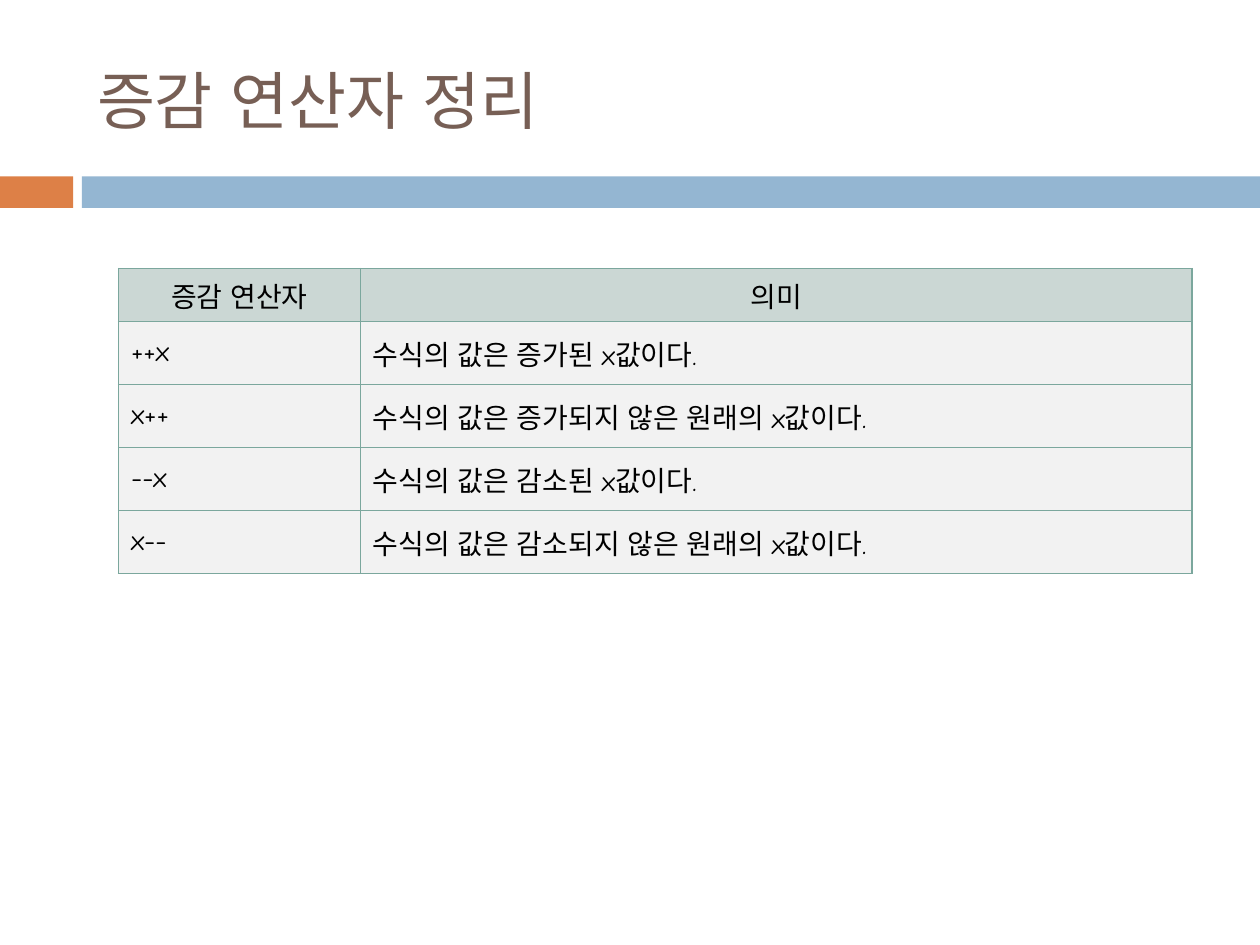
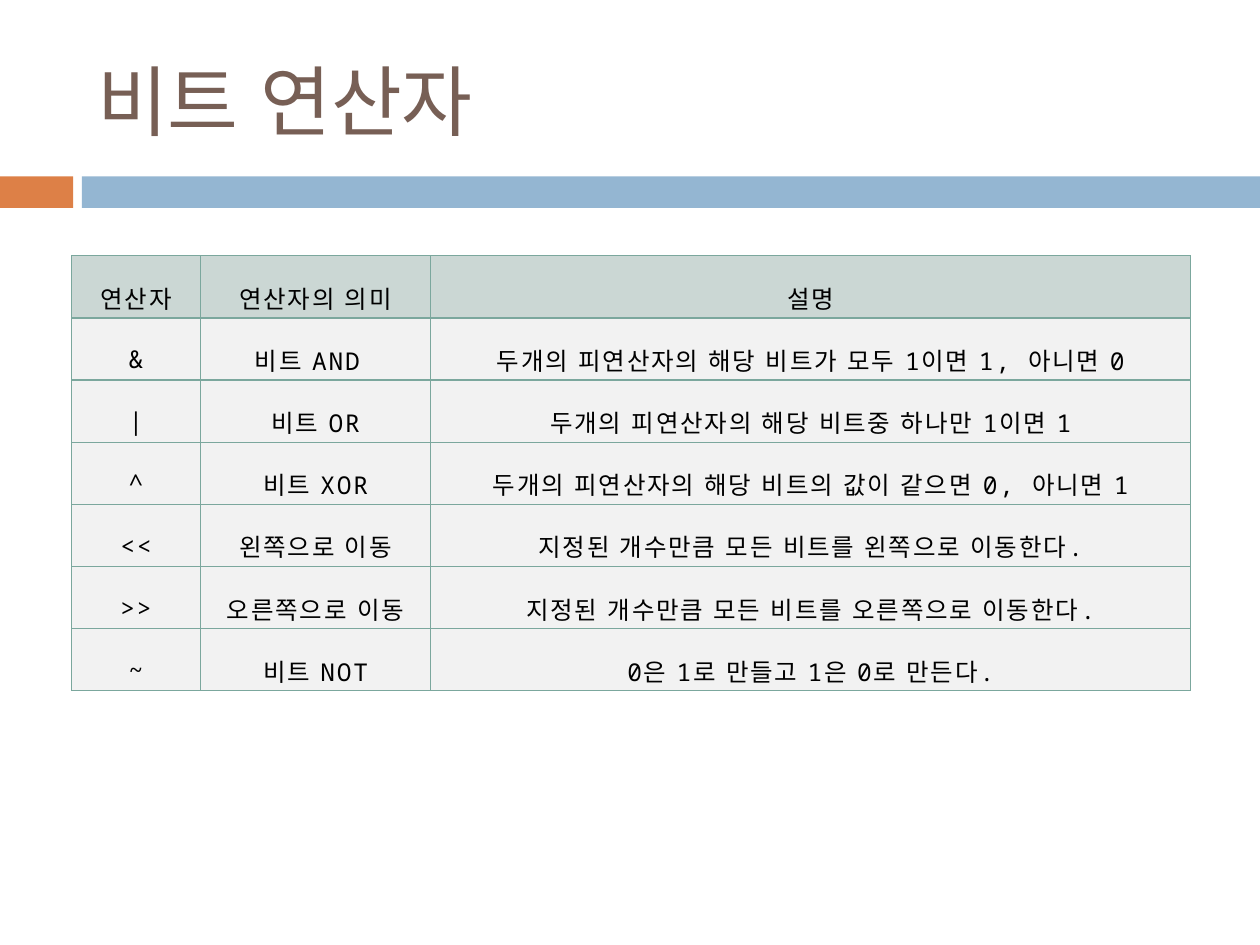
from dataclasses import dataclass

import pptx
import pptx.dml.color
import pptx.enum.lang
import pptx.enum.shapes
import pptx.enum.text
import pptx.oxml
import pptx.oxml.ns
import pptx.util
from pptx.util import Inches

ALIGN = pptx.enum.text.PP_ALIGN
MIDDLE = pptx.enum.text.MSO_ANCHOR.MIDDLE
COLOURS = {
    "accent": "DD8047",
    "band": "94B6D2",
    "title": "775F55",
    "text": "000000",
    "header": "CBD7D4",
    "body": "F2F2F2",
    "border": "7BA79D",
}


@dataclass(frozen=True)
class Band:
    left: float
    width: float
    colour: str


@dataclass(frozen=True)
class OperatorTable:
    left: float
    top: float
    columns: tuple[float, ...]
    heights: tuple[float, ...]
    rows: tuple[tuple[str, ...], ...]
    font: str
    size: int
    body_align: ALIGN
    margins: tuple[float, float]
    line_spacing: float = 1.0
    letter_spacing: float = 0


@dataclass(frozen=True)
class OperatorPage:
    title: str
    title_size: int
    table: OperatorTable


BANDS = (Band(0, 0.58, "accent"), Band(0.65, 9.35, "band"))

PAGES = (
    OperatorPage("증감 연산자 정리", 36, OperatorTable(
        left=0.94, top=2.13, columns=(1.92, 6.6), heights=(0.42,) + (0.5,) * 4,
        rows=(
            ("증감 연산자", "의미"),
            ("++x", "수식의 값은 증가된 x값이다. "),
            ("x++", "수식의 값은 증가되지 않은 원래의 x값이다. "),
            ("--x", "수식의 값은 감소된 x값이다. "),
            ("x--", "수식의 값은 감소되지 않은 원래의 x값이다. "),
        ),
        font="Comic Neue", size=16, body_align=ALIGN.JUSTIFY, margins=(0.1, 0.05),
    )),
    OperatorPage("비트 연산자", 44, OperatorTable(
        left=0.57, top=2.03, columns=(1.02, 1.83, 6.03), heights=(0.49,) * 7,
        rows=(
            ("연산자", "연산자의 의미", "설명"),
            ("&", "비트 AND ", "두개의 피연산자의 해당 비트가 모두 1이면 1, 아니면 0"),
            ("|", "비트 OR", "두개의 피연산자의 해당 비트중 하나만 1이면 1"),
            ("^", "비트 XOR", "두개의 피연산자의 해당 비트의 값이 같으면 0, 아니면 1"),
            ("<<", "왼쪽으로 이동", "지정된 개수만큼 모든 비트를 왼쪽으로 이동한다."),
            (">>", "오른쪽으로 이동", "지정된 개수만큼 모든 비트를 오른쪽으로 이동한다."),
            ("~", "비트 NOT", "0은 1로 만들고 1은 0로 만든다."),
        ),
        font="Noto Sans Mono", size=14, body_align=ALIGN.CENTER, margins=(0.02, 0.02),
        line_spacing=1.6, letter_spacing=1,
    )),
)


def rgb(name: str) -> pptx.dml.color.RGBColor:
    return pptx.dml.color.RGBColor.from_string(COLOURS[name])


def write_text(frame, text: str, *, font: str, size: int, colour: str = "text",
               align: ALIGN = ALIGN.LEFT, line_spacing: float = 1.0,
               letter_spacing: float = 0) -> None:
    para = frame.paragraphs[0]
    para.alignment = align
    para.line_spacing = line_spacing
    span = para.add_run()
    span.text = text
    span.font.name = font
    span.font.size = pptx.util.Pt(size)
    span.font.bold = False
    span.font.color.rgb = rgb(colour)
    span.font.language_id = pptx.enum.lang.MSO_LANGUAGE_ID.KOREAN
    if letter_spacing:
        span.font._element.set("spc", str(round(letter_spacing * 100)))


def draw_bands(page) -> None:
    for band in BANDS:
        box = page.shapes.add_shape(
            pptx.enum.shapes.MSO_SHAPE.RECTANGLE,
            Inches(band.left), Inches(1.4), Inches(band.width), Inches(0.25))
        box.shadow.inherit = False
        box.fill.solid()
        box.fill.fore_color.rgb = rgb(band.colour)
        box.line.fill.background()


def draw_title(page, text: str, size: int) -> None:
    title = page.shapes.title
    title.left, title.top = Inches(0.67), Inches(0.25)
    title.width, title.height = Inches(8.92), Inches(1.08)
    frame = title.text_frame
    frame.auto_size = pptx.enum.text.MSO_AUTO_SIZE.NONE
    frame.word_wrap = True
    frame.vertical_anchor = MIDDLE
    write_text(frame, text, font="Calibri", size=size, colour="title")


def add_borders(cell) -> None:
    properties = cell._tc.get_or_add_tcPr()
    for side in ("lnL", "lnR", "lnT", "lnB"):
        properties.append(pptx.oxml.parse_xml(
            f'<a:{side} {pptx.oxml.ns.nsdecls("a")} w="{pptx.util.Pt(0.79)}">'
            f'<a:solidFill><a:srgbClr val="{COLOURS["border"]}"/></a:solidFill>'
            f'</a:{side}>'))


def draw_table(page, model: OperatorTable) -> None:
    table = page.shapes.add_table(
        len(model.rows), len(model.columns), Inches(model.left), Inches(model.top),
        Inches(sum(model.columns)), Inches(sum(model.heights))).table
    table.horz_banding = False
    for column, width in zip(table.columns, model.columns):
        column.width = Inches(width)
    for row, height in zip(table.rows, model.heights):
        row.height = Inches(height)
    side, edge = (Inches(margin) for margin in model.margins)
    for row_index, texts in enumerate(model.rows):
        is_header = row_index == 0
        for column_index, text in enumerate(texts):
            cell = table.cell(row_index, column_index)
            cell.margin_left = cell.margin_right = side
            cell.margin_top = cell.margin_bottom = edge
            cell.vertical_anchor = MIDDLE
            add_borders(cell)
            cell.fill.solid()
            cell.fill.fore_color.rgb = rgb("header" if is_header else "body")
            write_text(cell.text_frame, text, font=model.font, size=model.size,
                       align=ALIGN.CENTER if is_header else model.body_align,
                       line_spacing=model.line_spacing,
                       letter_spacing=model.letter_spacing)


def main() -> None:
    deck = pptx.Presentation()
    deck.slide_width, deck.slide_height = Inches(10), Inches(7.5)
    title_only = deck.slide_layouts.get_by_name("Title Only")
    for content in PAGES:
        page = deck.slides.add_slide(title_only)
        draw_bands(page)
        draw_title(page, content.title, content.title_size)
        draw_table(page, content.table)
    deck.save("out.pptx")


if __name__ == "__main__":
    main()
